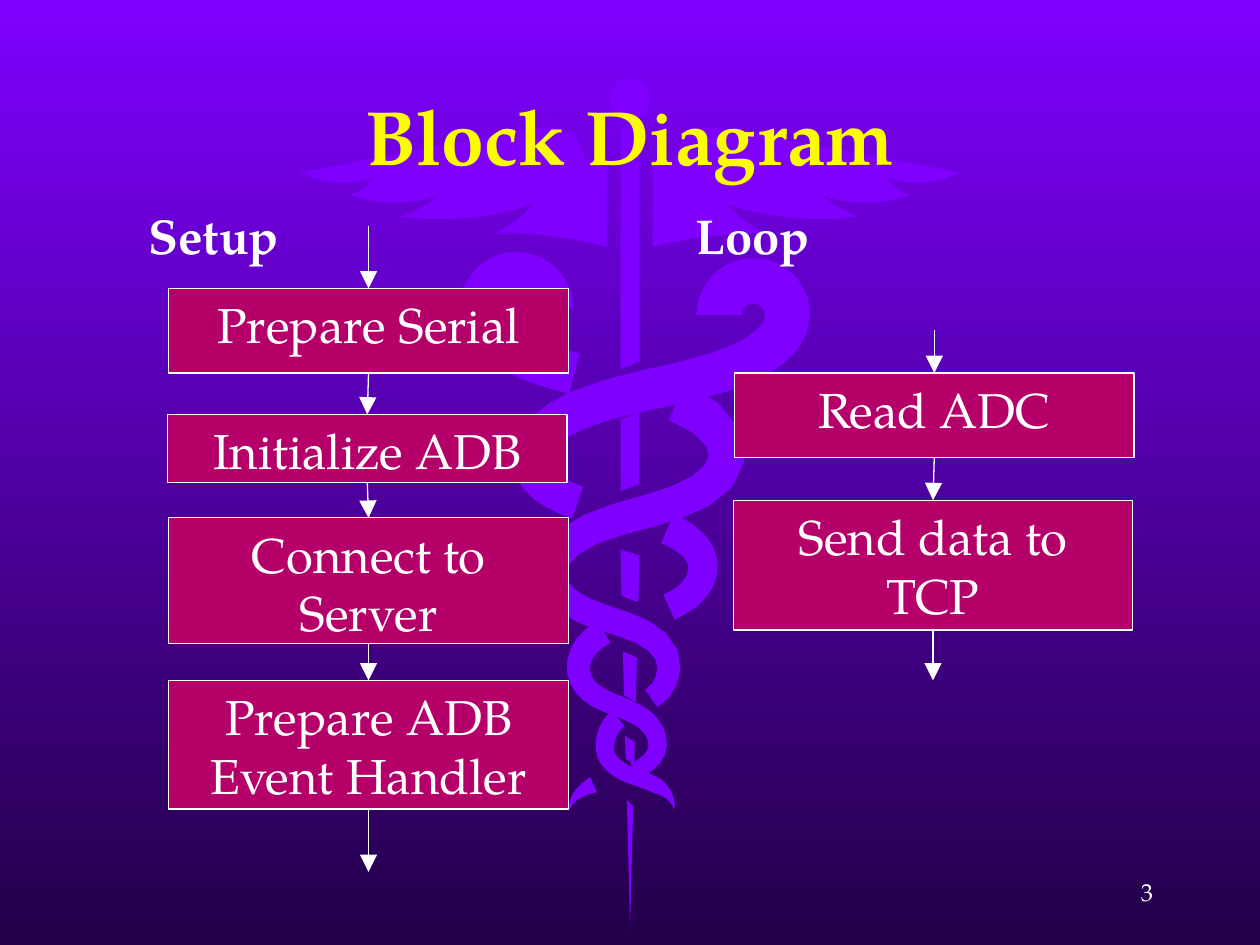
import dataclasses
import math

import pptx
import pptx.dml.color
import pptx.enum.shapes
import pptx.enum.text
import pptx.oxml
import pptx.oxml.ns
import pptx.util
from pptx.util import Inches

ALIGN = pptx.enum.text.PP_ALIGN
ANCHOR = pptx.enum.text.MSO_ANCHOR
SHAPE = pptx.enum.shapes.MSO_SHAPE


@dataclasses.dataclass(frozen=True)
class Theme:
    font: str = "TeX Gyre Pagella"
    violet: str = "7F00FF"
    night: str = "220048"
    yellow: str = "FAFD00"
    white: str = "FFFFFF"
    berry: str = "B50069"
    title: int = 44
    body: int = 28
    small: int = 14
    line: float = 0.75


THEME = Theme()
UNITS_PER_INCH = 1000


def rgb(value):
    return pptx.dml.color.RGBColor.from_string(value)


def paint(shape, fill, line=None):
    shape.shadow.inherit = False
    shape.fill.solid()
    shape.fill.fore_color.rgb = rgb(fill)
    if line:
        shape.line.color.rgb = rgb(line)
        shape.line.width = pptx.util.Pt(THEME.line)
    else:
        shape.line.fill.background()


def write(shape, text, size, color=THEME.white, bold=False, align=ALIGN.LEFT,
          anchor=ANCHOR.TOP, wrap=True):
    frame = shape.text_frame
    frame.word_wrap = wrap
    frame.vertical_anchor = anchor
    para = frame.paragraphs[0]
    para.text = text
    para.alignment = align
    para.font.name = THEME.font
    para.font.size = pptx.util.Pt(size)
    para.font.bold = bold
    para.font.color.rgb = rgb(color)


def add_label(page, left, top, width, height, text, size, **style):
    box = page.shapes.add_textbox(Inches(left), Inches(top), Inches(width), Inches(height))
    write(box, text, size, **style)


def add_preset(page, kind, left, top, width, height, fill, line=None):
    shape = page.shapes.add_shape(kind, Inches(left), Inches(top), Inches(width), Inches(height))
    paint(shape, fill, line)
    return shape


def add_outline(page, axis, top, points):
    """Fill a polygon whose points are inches from the emblem's axis and top."""
    grid = [(x * UNITS_PER_INCH, y * UNITS_PER_INCH) for x, y in points]
    builder = page.shapes.build_freeform(*grid[0], scale=Inches(1) / UNITS_PER_INCH)
    builder.add_line_segments(grid[1:], close=True)
    paint(builder.convert_to_shape(Inches(axis), Inches(top)), THEME.violet)


def add_arrow(page, start, end):
    arrow = page.shapes.add_connector(
        pptx.enum.shapes.MSO_CONNECTOR.STRAIGHT, *(Inches(v) for v in (*start, *end)))
    arrow.line.color.rgb = rgb(THEME.white)
    arrow.line.width = pptx.util.Pt(THEME.line)
    props = arrow._element.spPr
    namespace = pptx.oxml.ns.nsdecls("a")
    props.find(pptx.oxml.ns.qn("a:ln")).append(pptx.oxml.parse_xml(
        f'<a:tailEnd {namespace} type="triangle" w="lg" len="lg"/>'))
    props.append(pptx.oxml.parse_xml(f"<a:effectLst {namespace}/>"))


def add_backdrop(page):
    fill = page.background.fill
    fill.gradient()
    fill.gradient_angle = 270
    for stop, color in zip(fill.gradient_stops, (THEME.violet, THEME.night)):
        stop.color.rgb = rgb(color)


def add_staff(page, axis, top):
    """Draw a knob and a tapering rod, cut where a snake passes in front."""
    add_preset(page, SHAPE.OVAL, axis - 0.16, top, 0.32, 0.34, THEME.violet)
    tip, taper_start = 6.72, 3.8
    pieces = [(0.4, 2.31, -0.06), (2.71, 3.28, -0.06), (3.74, 4.11, 0.05),
              (4.55, 4.9, 0.05), (5.22, 5.4, 0.05), (5.73, tip, 0.05)]
    for start, end, slant in pieces:
        near, far = (0.075 * min(1, (tip - y) / (tip - taper_start)) for y in (start, end))
        add_outline(page, axis, top, [(-near, start), (near, start + slant),
                                      (far, end + slant), (-far, end)])


def snake_center(turns, t):
    """Swing from turn to turn; t counts turns, and the sine term rounds each bend."""
    index = min(max(int(t), 0), len(turns) - 2)
    (x0, y0), (x1, y1) = turns[index:index + 2]
    part = t - index
    swing = (1 - math.cos(math.pi * part)) / 2
    drop = part + 0.06 * math.sin(2 * math.pi * part)
    return x0 + (x1 - x0) * swing, y0 + (y1 - y0) * drop


def snake_half_width(y):
    return 0.18 - 0.031 * (y - 1.85)


def add_snake(page, axis, top, turns, visible):
    """Draw a ribbon over the visible spans of t, with a hooked head at the first turn."""
    steps, nudge, last = 24, 0.01, len(turns) - 1
    for start, end in visible:
        near_edge, far_edge = [], []
        for step in range(steps + 1):
            t = start + (end - start) * step / steps
            x, y = snake_center(turns, t)
            before, after = (snake_center(turns, t + d) for d in (-nudge, nudge))
            dx, dy = after[0] - before[0], after[1] - before[1]
            reach = snake_half_width(y) * min(1, 3 * (last - t)) / math.hypot(dx, dy)
            near_edge.append((x - dy * reach, y + dx * reach))
            far_edge.append((x + dy * reach, y - dx * reach))
        add_outline(page, axis, top, near_edge + far_edge[::-1])

    x, y = turns[0]
    size, half = 0.9, snake_half_width(y)
    left = x + half - size if x > 0 else x - half
    head = add_preset(page, SHAPE.BLOCK_ARC, axis + left, top + y - size / 2, size, size,
                      THEME.violet)
    head.adjustments[2] = 2 * half / size


def sagging_edge(start, end, sag, steps=6):
    """Points from start up to, but without, end; the middle hangs down by sag."""
    (x0, y0), (x1, y1) = start, end
    parts = [step / steps for step in range(steps)]
    return [(x0 + (x1 - x0) * p, y0 + (y1 - y0) * p + 4 * sag * p * (1 - p)) for p in parts]


def add_wing(page, axis, top, side):
    """Draw one wing; side is -1 for left and 1 for right."""
    root_top, root_bottom = (0.18, 0.64), (0.18, 1.34)
    shoulder = [(0.35, 0.65), (0.44, 0.44), (0.6, 0.39), (0.85, 0.41)]
    feather_tips = [(2.62, 0.75), (2.22, 0.93), (1.82, 1.1), (1.07, 1.23)]
    notches = [(2.03, 0.79), (1.52, 0.93), (0.76, 1)]
    points = [root_top, *shoulder]
    for tip, notch, next_tip in zip(feather_tips, notches, feather_tips[1:]):
        points += sagging_edge(tip, notch, 0.06) + sagging_edge(notch, next_tip, 0.02)
    points += sagging_edge(feather_tips[-1], root_bottom, -0.03) + [root_bottom]
    add_outline(page, axis, top, [(side * x, y) for x, y in points])


def add_emblem(page, axis, top):
    add_staff(page, axis, top)
    for side in (-1, 1):
        add_wing(page, axis, top, side)
    add_snake(page, axis, top,
              turns=[(1.25, 1.88), (-0.79, 3.03), (0.58, 3.88),
                     (-0.41, 4.68), (0.22, 5.29), (-0.48, 5.82)],
              visible=[(0, 1.35), (1.7, 2.35), (2.7, 4.35), (4.65, 5)])
    add_snake(page, axis, top,
              turns=[(-1.17, 1.83), (0.77, 2.98), (-0.62, 3.93),
                     (0.31, 4.67), (-0.2, 5.31), (0.35, 5.81)],
              visible=[(0, 0.42), (0.7, 3.35), (3.7, 5)])


def add_flow(page, left, top, width, height, steps):
    """Stack steps of (text, shift, offset, height), joined by arrows from top to bottom."""
    starts, ends = [], []
    for text, shift, offset, step_height in steps:
        x, y = left + shift, top + offset
        box = add_preset(page, SHAPE.RECTANGLE, x, y, width, step_height,
                         THEME.berry, THEME.white)
        write(box, text, THEME.body, align=ALIGN.CENTER)
        box.text_frame.margin_left = box.text_frame.margin_right = Inches(0.15)
        middle = x + width / 2
        ends.append((middle, y))
        starts.append((middle, y + step_height))
    starts.insert(0, (ends[0][0], top))
    ends.append((starts[-1][0], top + height))
    for start, end in zip(starts, ends):
        add_arrow(page, start, end)


def main():
    deck = pptx.Presentation()
    deck.slide_width, deck.slide_height = Inches(10), Inches(7.5)
    page = deck.slides.add_slide(deck.slide_layouts[6])
    add_backdrop(page)
    add_emblem(page, 5, 0.62)
    add_label(page, 0.75, 0.44, 8.5, 1.25, "Block Diagram", THEME.title, color=THEME.yellow,
              bold=True, align=ALIGN.CENTER, anchor=ANCHOR.MIDDLE)
    add_label(page, 7.17, 6.83, 2.08, 0.5, "3", THEME.small, align=ALIGN.RIGHT,
              anchor=ANCHOR.MIDDLE)
    for left, width, text in ((1.08, 1.25, "Setup"), (5.42, 1.12, "Loop")):
        add_label(page, left, 1.58, width, 0.57, text, THEME.body, bold=True, wrap=False)
    add_flow(page, 1.33, 1.79, 3.17, 5.13, [
        ("Prepare Serial", 0.01, 0.5, 0.67),
        ("Initialize ADB", 0, 1.5, 0.54),
        ("Connect to Server", 0.01, 2.32, 1),
        ("Prepare ADB Event Handler", 0.01, 3.61, 1.02),
    ])
    add_flow(page, 5.82, 2.62, 3.17, 2.78, [
        ("Read ADC", 0.01, 0.34, 0.67),
        ("Send data to TCP", 0, 1.35, 1.03),
    ])
    deck.save("out.pptx")


if __name__ == "__main__":
    main()
